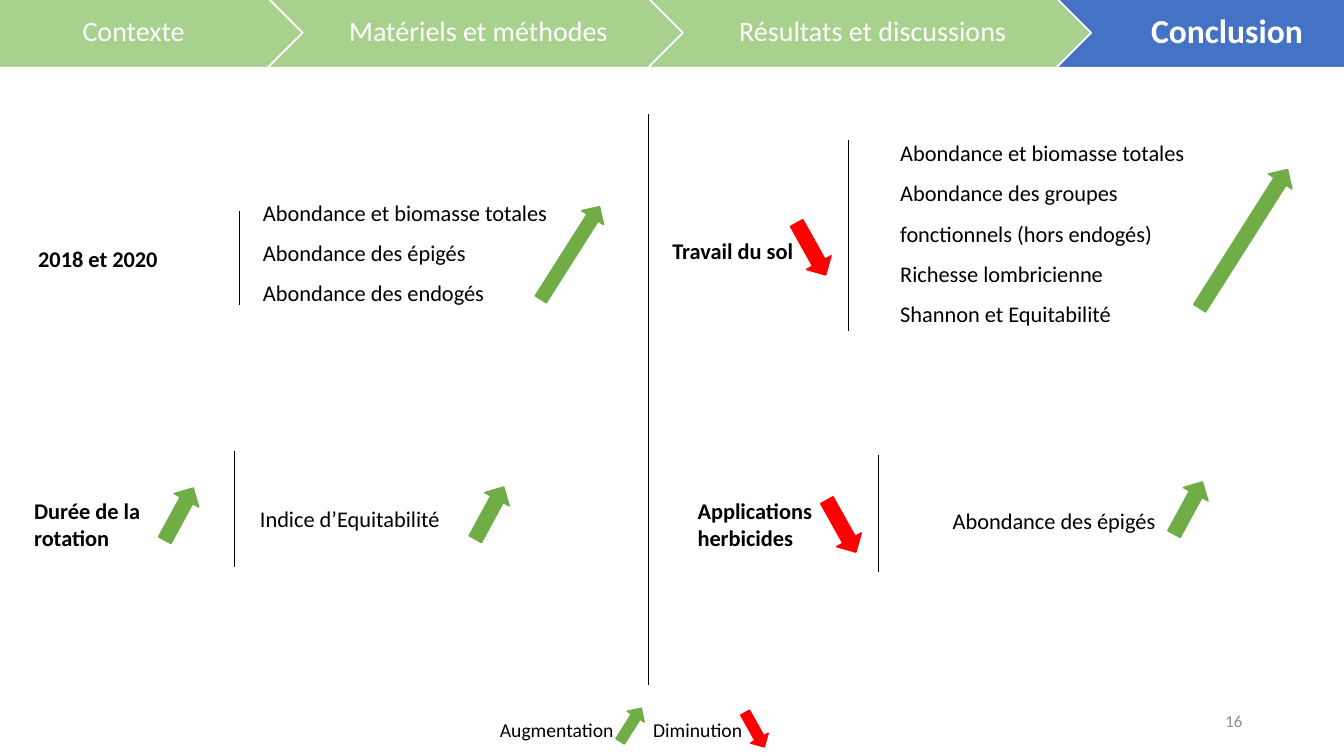
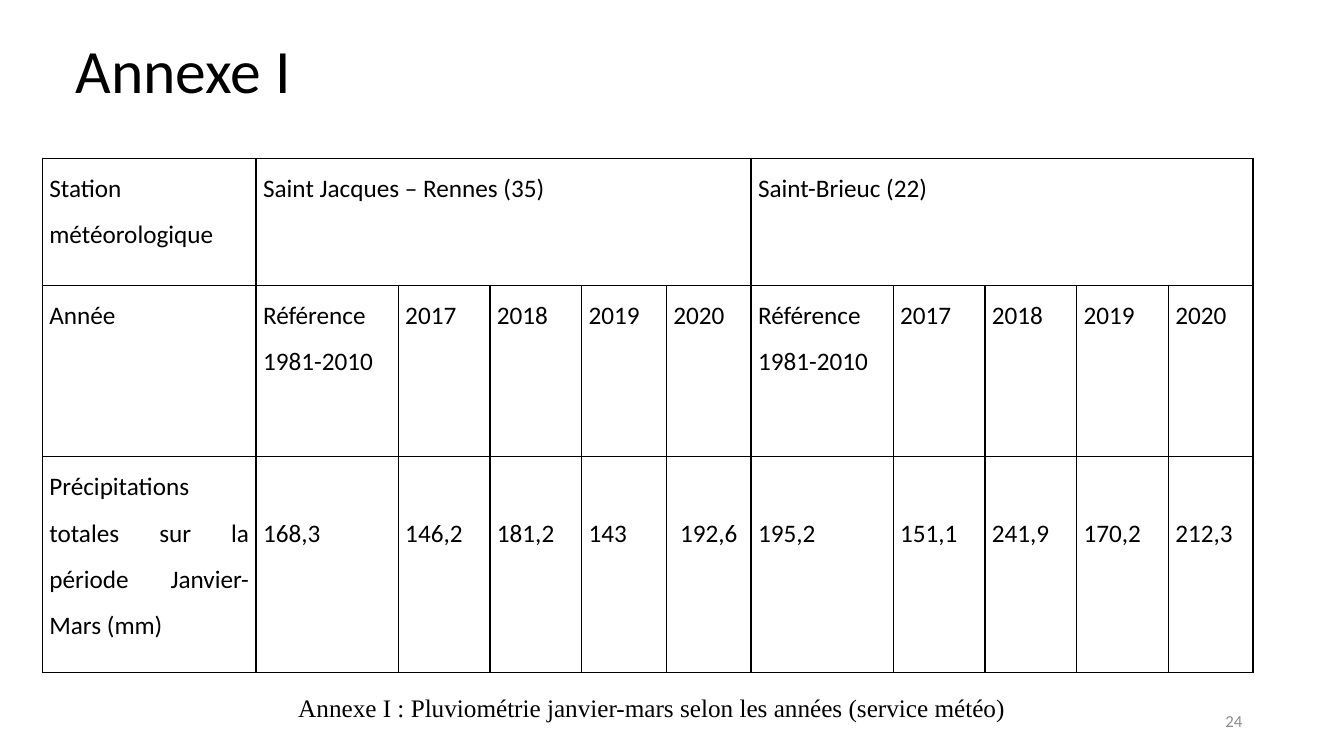
from dataclasses import dataclass

from lxml import etree
from pptx import Presentation
from pptx.dml.color import RGBColor
from pptx.enum import shapes, text
from pptx.oxml import ns
from pptx.util import Inches, Pt


# Colours, fonts and type sizes shared by the slides
@dataclass(frozen=True)
class Theme:
    black: str = "000000"
    white: str = "FFFFFF"
    grey: str = "8C8C8C"
    step: str = "A9D18E"
    current: str = "4472C4"
    rise: str = "70AD47"
    fall: str = "FF0000"
    font: str = "Calibri"
    serif: str = "Times New Roman"
    title: int = 44
    step_on: int = 24
    step_off: int = 20
    table: int = 18
    body: int = 16
    legend: int = 14
    footer: int = 12


T = Theme()
RISE_LONG, RISE, FALL = 302.4, 298.6, 60.8  # arrow rotations in degrees

STEPS = [("Contexte", 3.41), ("Matériels et méthodes", 4.11),
         ("Résultats et discussions", 4.39), ("Conclusion", 3.32)]

# Factor label, its box, separator (x, top, bottom), findings, their box, arrows
PANELS = [
    (["2018 et 2020"], (0.28, 2.38, 1.72, 0.37), (2.37, 2.09, 3.03),
     ["Abondance et biomasse totales", "Abondance des épigés",
      "Abondance des endogés"], (2.51, 1.79, 3.46, 1.31),
     [(5.11, 2.38, 1.09, 0.26, RISE_LONG)]),
    (["Travail du sol"], (6.57, 2.3, 1.79, 0.37), (8.41, 1.39, 3.28),
     ["Abondance et biomasse totales",
      "Abondance des groupes fonctionnels (hors endogés)",
      "Richesse lombricienne", "Shannon et Equitabilité"],
     (8.83, 1.2, 3.44, 2.12),
     [(7.75, 2.33, 0.59, 0.28, FALL), (11.52, 2.23, 1.63, 0.28, RISE_LONG)]),
    (["Durée de la", "rotation"], (0.24, 4.88, 2, 0.64), (2.32, 4.47, 5.63),
     ["Indice d’Equitabilité"], (2.48, 4.83, 2.37, 0.5),
     [(1.48, 4.96, 0.59, 0.28, RISE), (4.56, 4.95, 0.59, 0.28, RISE)]),
    (["Applications", "herbicides"], (6.82, 4.88, 1.8, 0.64), (8.71, 4.51, 5.67),
     ["Abondance des épigés"], (9.35, 4.85, 2.61, 0.46),
     [(8.05, 5.08, 0.59, 0.28, FALL), (11.49, 4.9, 0.59, 0.28, RISE)]),
]

LEGEND = [("Augmentation", 4.86, (6.06, 7.09, 0.39, 0.2, RISE_LONG)),
          ("Diminution", 6.38, (7.29, 7.14, 0.39, 0.2, FALL))]

STATIONS = ["Saint Jacques – Rennes (35)", "Saint-Brieuc (22)"]
PERIODS = ["Référence\n1981-2010", "2017", "2018", "2019", "2020"]
RAINFALL = ["168,3", "146,2", "181,2", "143", "192,6",
            "195,2", "151,1", "241,9", "170,2", "212,3"]
COL_WIDTHS = [2.12, 1.41, 0.91, 0.91, 0.84, 0.84, 1.41, 0.91, 0.91, 0.91, 0.84]
ROW_HEIGHTS = [1.26, 1.7, 2.14]


def rgb(color):
    return RGBColor.from_string(color)


def box(*lengths):
    return [Inches(n) for n in lengths]


def write(tf, lines, size, color=T.black, bold=False, font=T.font,
          align=text.PP_ALIGN.LEFT, spacing=1.0):
    tf.word_wrap = True
    for i, line in enumerate(lines):
        p = tf.paragraphs[0] if i == 0 else tf.add_paragraph()
        p.text = line
        p.alignment, p.line_spacing = align, spacing
        p.font.name, p.font.size, p.font.bold = font, Pt(size), bold
        p.font.color.rgb = rgb(color)


def add_text(slide, at, lines, size, **style):
    tf = slide.shapes.add_textbox(*box(*at)).text_frame
    write(tf, lines, size, **style)
    return tf


def add_shape(slide, kind, at, fill, line):
    sp = slide.shapes.add_shape(kind, *box(*at))
    sp.shadow.inherit = False
    sp.fill.solid()
    sp.fill.fore_color.rgb = rgb(fill)
    sp.line.color.rgb = rgb(line)
    sp.line.width = Pt(1)
    return sp


def add_trend(slide, x, y, w, h, angle):
    color = T.fall if angle == FALL else T.rise
    add_shape(slide, shapes.MSO_SHAPE.RIGHT_ARROW, (x, y, w, h),
              color, color).rotation = angle


def add_separator(slide, x, top, bottom):
    line = slide.shapes.add_connector(shapes.MSO_CONNECTOR.STRAIGHT,
                                      *box(x, top, x, bottom))
    line.line.color.rgb = rgb(T.black)
    line.line.width = Pt(0.5)
    etree.SubElement(line._element.spPr, ns.qn("a:effectLst"))


def add_page_number(slide, number):
    tf = add_text(slide, (9.42, 6.95, 3, 0.4), [str(number)], T.footer,
                  color=T.grey, align=text.PP_ALIGN.RIGHT)
    tf.vertical_anchor = text.MSO_ANCHOR.MIDDLE


def add_progress_band(slide, current):
    x, overlap = -0.41, 0.34
    for name, width in STEPS:
        on = name == current
        sp = add_shape(slide, shapes.MSO_SHAPE.CHEVRON, (x, -0.02, width, 0.69),
                       T.current if on else T.step, T.white)
        tf = sp.text_frame
        tf.margin_left, tf.margin_right = box(0.09, 0.03)
        tf.margin_top = tf.margin_bottom = Inches(0.03)
        tf.vertical_anchor = text.MSO_ANCHOR.MIDDLE
        write(tf, [name], T.step_on if on else T.step_off, color=T.white,
              bold=on, align=text.PP_ALIGN.CENTER, spacing=0.9)
        x += width - overlap


def add_panel(slide, label, label_at, separator, findings, findings_at, arrows):
    add_text(slide, label_at, label, T.body, bold=True)
    add_separator(slide, *separator)
    add_text(slide, findings_at, findings, T.body, spacing=1.5)
    for arrow in arrows:
        add_trend(slide, *arrow)


def set_borders(cell):
    tc_pr = cell._tc.get_or_add_tcPr()
    for i, side in enumerate(("lnL", "lnR", "lnT", "lnB")):
        ln = etree.Element(ns.qn(f"a:{side}"), w=str(Pt(1)))
        fill = etree.SubElement(ln, ns.qn("a:solidFill"))
        etree.SubElement(fill, ns.qn("a:srgbClr"), val=T.black)
        tc_pr.insert(i, ln)


def add_rainfall_table(slide):
    n = len(PERIODS)
    blanks = [""] * (n - 1)
    rows = [["Station météorologique", STATIONS[0], *blanks, STATIONS[1], *blanks],
            ["Année", *PERIODS * 2],
            ["Précipitations totales sur la période Janvier-Mars (mm)", *RAINFALL]]
    table = slide.shapes.add_table(
        len(rows), len(COL_WIDTHS),
        *box(0.42, 1.57, sum(COL_WIDTHS), sum(ROW_HEIGHTS))).table
    table.first_row = table.horz_banding = False
    for column, width in zip(table.columns, COL_WIDTHS):
        column.width = Inches(width)
    for row, height in zip(table.rows, ROW_HEIGHTS):
        row.height = Inches(height)
    for r, values in enumerate(rows):
        for c, value in enumerate(values):
            cell = table.cell(r, c)
            cell.margin_left = cell.margin_right = Inches(0.07)
            # Rainfall figures sit one line lower than their row heading
            cell.margin_top = Inches(0.46 if r == 2 and c else 0)
            cell.margin_bottom = 0
            cell.fill.solid()
            cell.fill.fore_color.rgb = rgb(T.white)
            set_borders(cell)
            centred = value == "192,6"
            write(cell.text_frame, value.split("\n"), T.table, spacing=1.5,
                  align=text.PP_ALIGN.CENTER if centred else text.PP_ALIGN.JUSTIFY)
    for first in (1, 1 + n):
        table.cell(0, first).merge(table.cell(0, first + n - 1))


def build_conclusion(prs):
    slide = prs.slides.add_slide(prs.slide_layouts[6])
    add_page_number(slide, 16)
    add_progress_band(slide, "Conclusion")
    add_separator(slide, 6.43, 1.13, 6.8)
    for panel in PANELS:
        add_panel(slide, *panel)
    for name, x, arrow in LEGEND:
        add_text(slide, (x, 7.07, 1.5, 0.34), [name], T.legend)
        add_trend(slide, *arrow)


def build_annex(prs):
    slide = prs.slides.add_slide(prs.slide_layouts[5])
    title = slide.shapes.title
    title.left, title.top, title.width, title.height = box(0.65, 0.17, 11.5, 1.11)
    title.text_frame.vertical_anchor = text.MSO_ANCHOR.MIDDLE
    write(title.text_frame, ["Annexe I"], T.title, spacing=0.9)
    add_rainfall_table(slide)
    add_page_number(slide, 24)
    add_text(slide, (2.86, 6.67, 9.3, 0.56),
             ["Annexe I : Pluviométrie janvier-mars selon les années (service météo)"],
             T.table, font=T.serif, spacing=1.5)


def main():
    prs = Presentation()
    prs.slide_width, prs.slide_height = box(13.33, 7.5)
    build_conclusion(prs)
    build_annex(prs)
    prs.save("out.pptx")


if __name__ == "__main__":
    main()
